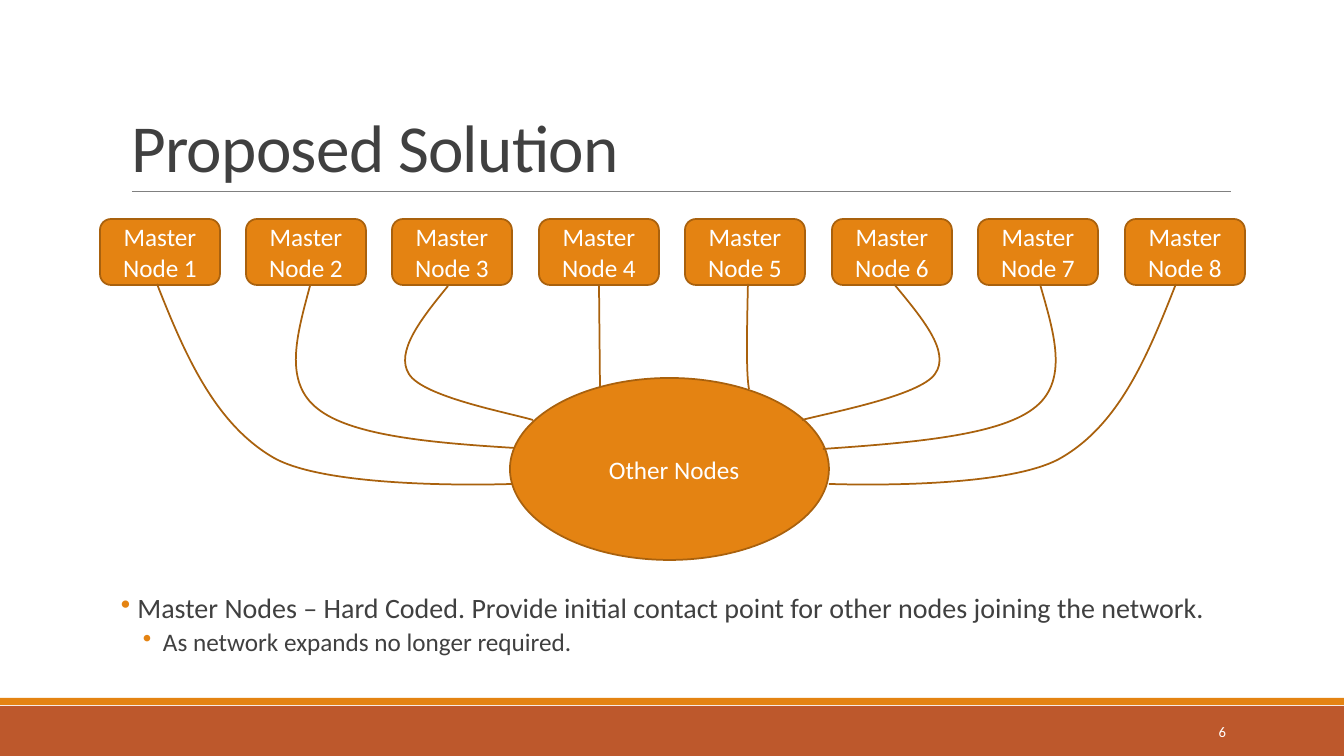
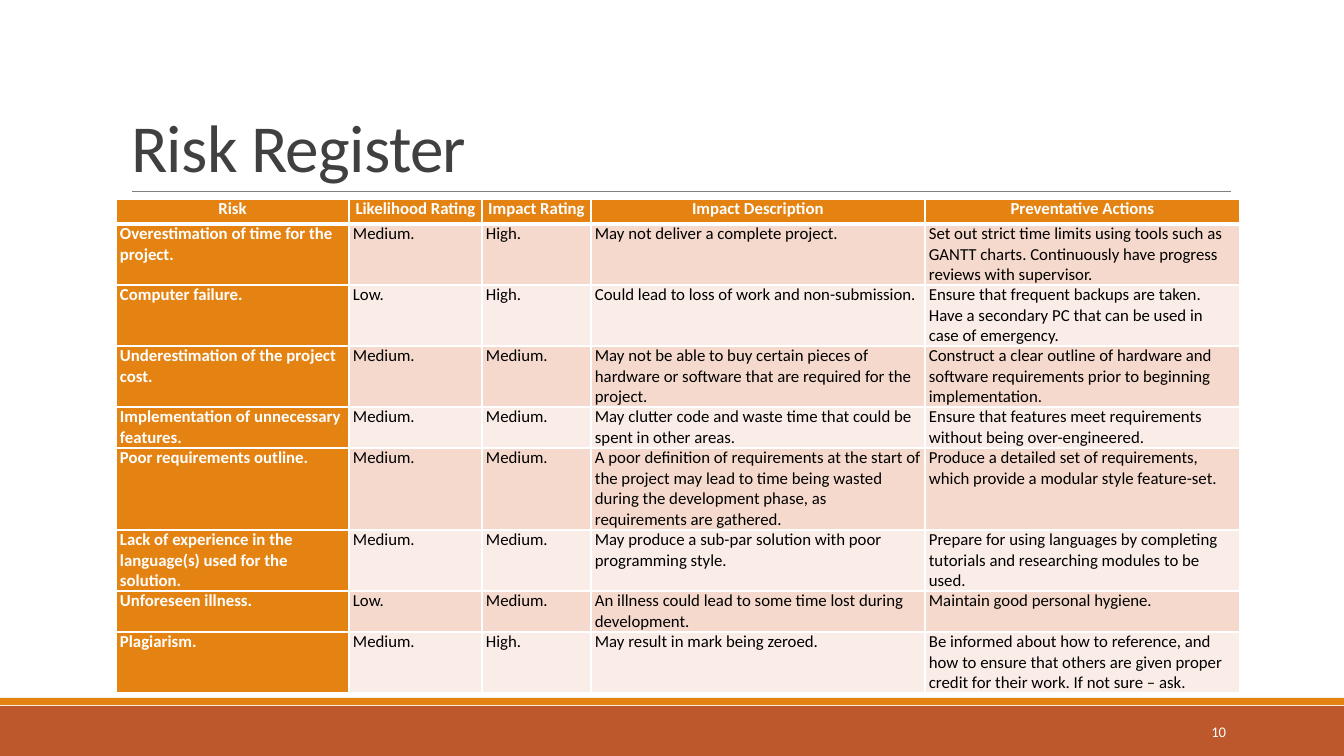
"""Build the proposed solution and risk register slides."""
from dataclasses import dataclass
from typing import Any, NamedTuple

from lxml.etree import SubElement
from pptx import Presentation
from pptx.dml.color import RGBColor
from pptx.enum.shapes import MSO_CONNECTOR, MSO_SHAPE
from pptx.enum.text import MSO_ANCHOR, MSO_AUTO_SIZE, PP_ALIGN
from pptx.oxml.ns import qn
from pptx.slide import Slide
from pptx.util import Emu, Pt

SCALE = 914400 / 100.8
FONT = "Calibri"
ORANGE = RGBColor(0xE4, 0x83, 0x12)
BROWN = RGBColor(0xA9, 0x61, 0x0D)
RUST = RGBColor(0xBD, 0x58, 0x2C)
GREY = RGBColor(0x80, 0x80, 0x80)
DARK = RGBColor(0x40, 0x40, 0x40)
BLACK = RGBColor(0, 0, 0)
WHITE = RGBColor(0xFF, 0xFF, 0xFF)
ROSE = RGBColor(0xF5, 0xD9, 0xCC)
BLUSH = RGBColor(0xFA, 0xED, 0xE7)
RECT = MSO_SHAPE.RECTANGLE
ROUND = MSO_SHAPE.ROUNDED_RECTANGLE
OVAL = MSO_SHAPE.OVAL
STRAIGHT = MSO_CONNECTOR.STRAIGHT
LEFT, CENTER, RIGHT = PP_ALIGN.LEFT, PP_ALIGN.CENTER, PP_ALIGN.RIGHT
TOP, MIDDLE, BOTTOM = MSO_ANCHOR.TOP, MSO_ANCHOR.MIDDLE, MSO_ANCHOR.BOTTOM
FIXED = MSO_AUTO_SIZE.NONE


class Box(NamedTuple):
    """A place on the slide in pixels."""
    left: int
    top: int
    width: int
    height: int


@dataclass
class Style:
    """The look of a run of text."""
    size: float
    color: RGBColor
    bold: bool = False


@dataclass
class Bullet:
    """A bulleted line with its indents and spacing in pixels and points."""
    text: str
    size: int
    margin: int
    hang: int
    before: int
    after: int
    level: int = 0


class Risk(NamedTuple):
    """One row of the risk table."""
    name: str
    odds: str
    impact: str
    result: str
    action: str


Point = tuple[int, int]

LINKS: list[list[Point]] = [
    [(157, 284), (185, 355), (215, 424), (274, 458),
     (333, 491), (513, 484), (513, 484)],
    [(310, 286), (297, 335), (283, 382), (318, 409),
     (352, 436), (433, 443), (515, 448)],
    [(448, 286), (421, 319), (395, 352), (409, 374),
     (423, 397), (510, 413), (533, 420)],
    [(599, 285), (600, 387)],
    [(748, 284), (747, 329), (746, 373), (749, 389)],
    [(1176, 284), (1148, 355), (1120, 424), (1061, 458),
     (1004, 491), (829, 484), (829, 484)],
    [(1040, 284), (1054, 333), (1070, 382), (1033, 409),
     (997, 436), (909, 443), (823, 449)],
    [(894, 284), (922, 318), (951, 352), (935, 374),
     (920, 396), (828, 413), (802, 420)],
]

BULLETS = [
    Bullet(" Master Nodes – Hard Coded. Provide initial contact point for "
           "other nodes joining the network.", 20, 10, -10, 12, 2),
    Bullet("As network expands no longer required.", 18, 42, -20, 2, 4, 1),
]

HEAD = Risk("Risk", "Likelihood Rating", "Impact Rating",
            "Impact Description", "Preventative Actions")
RISKS = [
    Risk("Overestimation of time for the project.", "Medium.", "High.",
         "May not deliver a complete project.",
         "Set out strict time limits using tools such as GANTT charts. "
         "Continuously have progress reviews with supervisor."),
    Risk("Computer failure.", "Low.", "High.",
         "Could lead to loss of work and non-submission.",
         "Ensure that frequent backups are taken. Have a secondary PC that "
         "can be used in case of emergency."),
    Risk("Underestimation of the project cost.", "Medium.", "Medium.",
         "May not be able to buy certain pieces of hardware or software that "
         "are required for the project.",
         "Construct a clear outline of hardware and software requirements "
         "prior to beginning implementation."),
    Risk("Implementation of unnecessary features.", "Medium.", "Medium.",
         "May clutter code and waste time that could be spent in other areas.",
         "Ensure that features meet requirements without being "
         "over-engineered."),
    Risk("Poor requirements outline.", "Medium.", "Medium.",
         "A poor definition of requirements at the start of the project may "
         "lead to time being wasted during the development phase, as "
         "requirements are gathered.",
         "Produce a detailed set of requirements, which provide a modular "
         "style feature-set."),
    Risk("Lack of experience in the language(s) used for the solution.",
         "Medium.", "Medium.",
         "May produce a sub-par solution with poor programming style.",
         "Prepare for using languages by completing tutorials and "
         "researching modules to be used."),
    Risk("Unforeseen illness.", "Low.", "Medium.",
         "An illness could lead to some time lost during development.",
         "Maintain good personal hygiene."),
    Risk("Plagiarism.", "Medium.", "High.",
         "May result in mark being zeroed.",
         "Be informed about how to reference, and how to ensure that others "
         "are given proper credit for their work. If not sure – ask."),
]
WIDTHS = [233, 133, 109, 334, 315]
HEIGHTS = [25, 61, 61, 61, 41, 82, 61, 41, 61]


def px(count: float) -> Emu:
    """Turn pixels into EMU."""
    return Emu(round(count * SCALE))


def place(box: Box) -> list[Emu]:
    """Turn a box into EMU lengths."""
    return [px(side) for side in box]


def write(para: Any, text: str, style: Style, align: Any = LEFT) -> Any:
    """Add one run to a paragraph."""
    para.alignment = align
    run = para.add_run()
    run.text = text
    font = run.font
    font.name, font.size, font.bold = FONT, Pt(style.size), style.bold
    font.color.rgb = style.color
    return run


def label(slide: Slide, box: Box, text: str, style: Style,
          align: Any = LEFT, anchor: Any = TOP) -> None:
    """Add a text box with one line."""
    frame = slide.shapes.add_textbox(*place(box)).text_frame
    frame.word_wrap = True
    frame.vertical_anchor = anchor
    write(frame.paragraphs[0], text, style, align)


def block(slide: Slide, kind: Any, box: Box, fill: RGBColor,
          edge: RGBColor | None = None) -> Any:
    """Add a filled shape with an optional outline."""
    shape = slide.shapes.add_shape(kind, *place(box))
    shape.shadow.inherit = False
    shape.fill.solid()
    shape.fill.fore_color.rgb = fill
    if edge is None:
        shape.line.fill.background()
    else:
        shape.line.color.rgb = edge
        shape.line.width = Pt(1.25)
    return shape


def link(slide: Slide, points: list[Point]) -> None:
    """Draw a line, or Bezier curves when control points are given."""
    form = slide.shapes.build_freeform(*points[0], scale=SCALE)
    form.add_line_segments(points[1:], close=False)
    shape = form.convert_to_shape()
    shape.shadow.inherit = False
    shape.fill.background()
    shape.line.color.rgb = BROWN
    shape.line.width = Pt(1.25)
    parts = shape._element.findall(".//" + qn("a:lnTo"))
    for start in range(0, len(parts) - 2, 3):
        trio = parts[start:start + 3]
        trail = trio[0].getparent()
        curve = SubElement(trail, qn("a:cubicBezTo"))
        for part in trio:
            curve.append(part[0])
            trail.remove(part)


def start(deck: Any, title: str, number: int) -> Slide:
    """Add a slide with the shared title, rule, bands and number."""
    slide = deck.slides.add_slide(deck.slide_layouts[5])
    block(slide, RECT, Box(0, 706, 1344, 50), RUST)
    block(slide, RECT, Box(0, 698, 1344, 7), ORANGE)
    rule = slide.shapes.add_connector(
        STRAIGHT, px(132), px(191), px(1231), px(191))
    rule.line.color.rgb = GREY
    rule.line.width = Pt(0.5)
    SubElement(rule._element.spPr, qn("a:effectLst"))
    head = slide.shapes.title
    head.left, head.top, head.width, head.height = place(
        Box(121, 31, 1109, 160))
    frame = head.text_frame
    frame.auto_size = FIXED
    frame.vertical_anchor = BOTTOM
    para = frame.paragraphs[0]
    para.line_spacing = 0.85
    run = write(para, title, Style(48, DARK))
    run.font._element.set("spc", "-50")
    label(slide, Box(1092, 712, 144, 40), str(number),
          Style(10.5, WHITE), RIGHT, MIDDLE)
    return slide


def notes(slide: Slide, box: Box, items: list[Bullet]) -> None:
    """Add the bulleted text."""
    frame = slide.shapes.add_textbox(*place(box)).text_frame
    frame.word_wrap = True
    frame.margin_left = frame.margin_right = 0
    for index, item in enumerate(items):
        para = frame.add_paragraph() if index else frame.paragraphs[0]
        para.level = item.level
        para.line_spacing = 0.9
        para.space_before, para.space_after = Pt(item.before), Pt(item.after)
        write(para, item.text, Style(item.size, DARK))
        props = para._p.get_or_add_pPr()
        props.set("marL", str(px(item.margin)))
        props.set("indent", str(px(item.hang)))
        color = SubElement(props, qn("a:buClr"))
        SubElement(color, qn("a:srgbClr"), val=str(ORANGE))
        SubElement(props, qn("a:buChar"), char="•")


def border(cell: Any, row: int) -> None:
    """Give a cell white borders, thick below the heading row."""
    props = cell._tc.get_or_add_tcPr()
    sides = {"L": 1, "R": 1, "T": 3 if row == 1 else 1,
             "B": 3 if row == 0 else 1}
    for side, width in sides.items():
        line = SubElement(props, qn("a:ln" + side), w=str(Pt(width)))
        fill = SubElement(line, qn("a:solidFill"))
        SubElement(fill, qn("a:srgbClr"), val=str(WHITE))


def grid(slide: Slide, left: int, top: int, rows: list[Risk]) -> None:
    """Add the risk table."""
    box = Box(left, top, sum(WIDTHS), sum(HEIGHTS))
    table = slide.shapes.add_table(
        len(rows), len(WIDTHS), *place(box)).table
    for column, width in zip(table.columns, WIDTHS):
        column.width = px(width)
    for line, height in zip(table.rows, HEIGHTS):
        line.height = px(height)
    for row, risk in enumerate(rows):
        for col, text in enumerate(risk):
            cell = table.cell(row, col)
            border(cell, row)
            key = row == 0 or col == 0
            cell.fill.solid()
            cell.fill.fore_color.rgb = (
                ORANGE if key else ROSE if row % 2 else BLUSH)
            cell.margin_left = cell.margin_right = px(4)
            cell.margin_top = cell.margin_bottom = 0
            style = Style(12, WHITE if key else BLACK, key)
            write(cell.text_frame.paragraphs[0], text, style,
                  LEFT if row else CENTER)


def main() -> None:
    """Build and save the deck."""
    deck = Presentation()
    deck.slide_width, deck.slide_height = px(1344), px(756)
    plan = start(deck, "Proposed Solution", 6)
    white = Style(18, WHITE)
    for index in range(8):
        node = block(plan, ROUND, Box(100 + index * 1025 // 7, 219, 120, 66),
                     ORANGE, BROWN)
        node.text_frame.vertical_anchor = MIDDLE
        write(node.text_frame.paragraphs[0], f"Master Node {index + 1}",
              white, CENTER)
    block(plan, OVAL, Box(510, 378, 319, 182), ORANGE, BROWN)
    label(plan, Box(599, 449, 156, 40), "Other Nodes", white)
    for points in LINKS:
        link(plan, points)
    notes(plan, Box(121, 589, 1109, 83), BULLETS)
    grid(start(deck, "Risk Register", 10), 116, 199, [HEAD, *RISKS])
    deck.save("out.pptx")


main()
